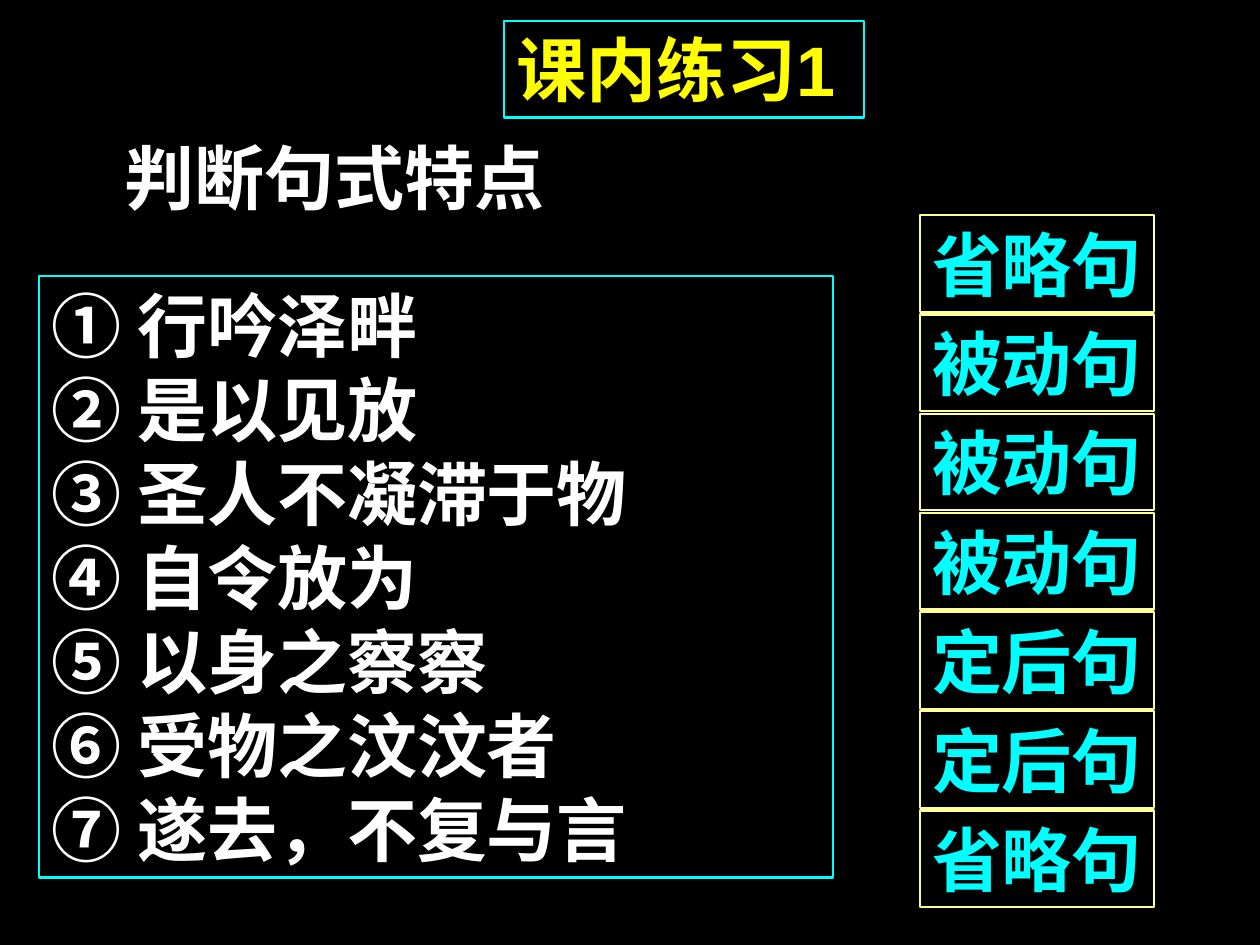
"""Build a classroom exercise slide on identifying Classical Chinese sentence patterns."""
from pptx import Presentation
from pptx.dml.color import RGBColor
from pptx.enum.text import MSO_ANCHOR, PP_ALIGN
from pptx.util import Cm, Pt

BLACK = RGBColor(0x00, 0x00, 0x00)
WHITE = RGBColor(0xFF, 0xFF, 0xFF)
YELLOW = RGBColor(0xFF, 0xFF, 0x00)
CYAN = RGBColor(0x00, 0xFF, 0xFF)
CREAM = RGBColor(0xFF, 0xFF, 0x99)

LINE_HEIGHT = 1.95
ANSWER_PITCH = 2.0

sentences = [
    "① 行吟泽畔",
    "② 是以见放",
    "③ 圣人不凝滞于物",
    "④ 自令放为",
    "⑤ 以身之察察",
    "⑥ 受物之汶汶者",
    "⑦ 遂去，不复与言",
]
answers = ["省略句", "被动句", "被动句", "被动句", "定后句", "定后句", "省略句"]

deck = Presentation()
deck.slide_width, deck.slide_height = Cm(25.4), Cm(19.05)
slide = deck.slides.add_slide(deck.slide_layouts[6])
slide.background.fill.solid()
slide.background.fill.fore_color.rgb = BLACK


def add_box(lines, left, top, width, height, color, border=None):
    box = slide.shapes.add_textbox(Cm(left), Cm(top), Cm(width), Cm(height))
    if border is not None:
        box.line.color.rgb = border
        box.line.width = Pt(1.25)
    frame = box.text_frame
    frame.word_wrap = True
    frame.margin_right = Cm(0)
    frame.vertical_anchor = MSO_ANCHOR.TOP
    for index, line in enumerate(lines):
        paragraph = frame.add_paragraph() if index else frame.paragraphs[0]
        paragraph.alignment = PP_ALIGN.LEFT
        run = paragraph.add_run()
        run.text = line
        run.font.name = "Arial"
        run.font.size = Pt(40)
        run.font.bold = True
        run.font.color.rgb = color


add_box(["课内练习1"], 10.16, 0.42, 7.26, LINE_HEIGHT, YELLOW, CYAN)
add_box(sentences, 0.79, 5.57, 16, 12.12, WHITE, CYAN)
add_box(["判断句式特点"], 2.26, 2.59, 8.97, LINE_HEIGHT, WHITE)

for row, answer in enumerate(answers):
    add_box([answer], 18.54, 4.34 + row * ANSWER_PITCH, 4.72, LINE_HEIGHT, CYAN, CREAM)

deck.save("out.pptx")
